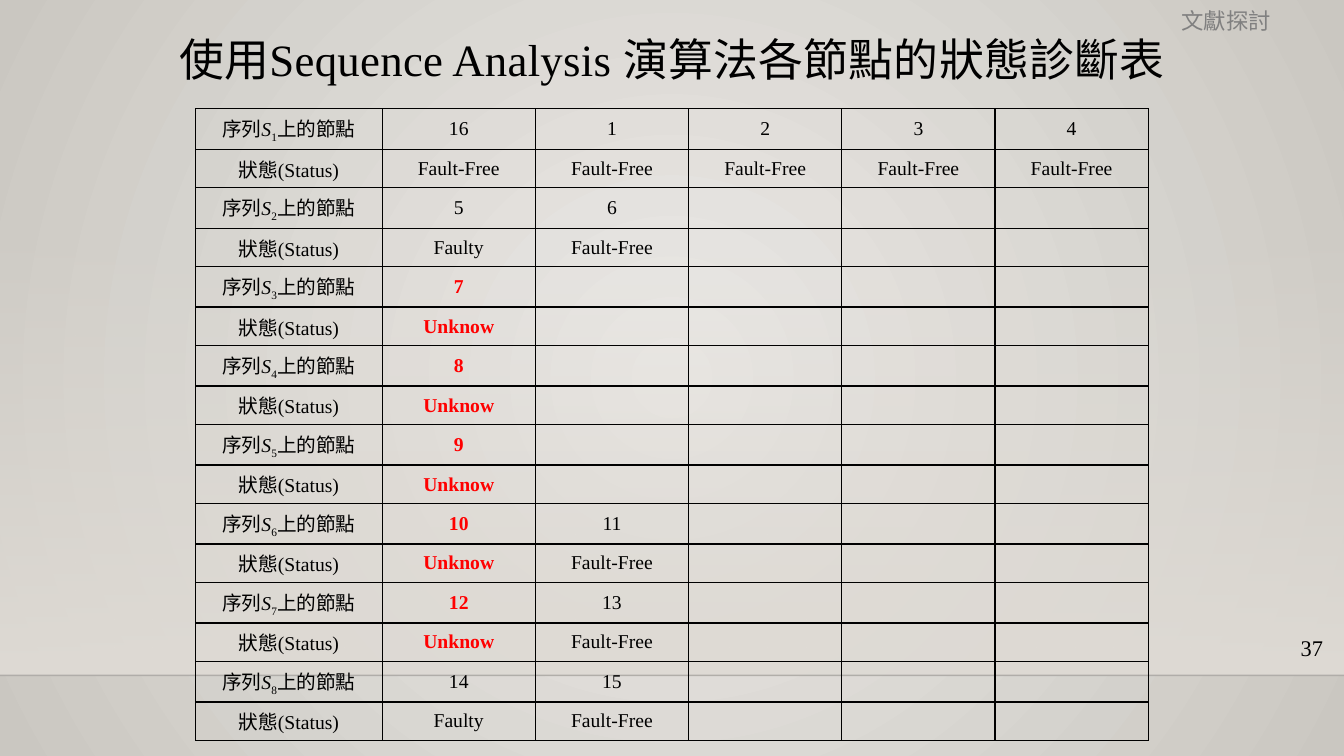
from dataclasses import dataclass

from lxml import etree
from pptx import Presentation
from pptx.dml.color import RGBColor
from pptx.enum.shapes import MSO_CONNECTOR, MSO_SHAPE
from pptx.enum.text import MSO_ANCHOR, PP_ALIGN
from pptx.oxml.ns import qn
from pptx.util import Inches, Pt

CENTER, RIGHT = PP_ALIGN.CENTER, PP_ALIGN.RIGHT
MIDDLE = MSO_ANCHOR.MIDDLE
RECTANGLE, STRAIGHT = MSO_SHAPE.RECTANGLE, MSO_CONNECTOR.STRAIGHT
WIDTH, HEIGHT = 13.33, 7.5
BLANK_LAYOUT = 6


@dataclass(frozen=True)
class Theme:
    """Colours, font and type sizes of the slide."""
    font: str = "Times New Roman"
    ink: str = "000000"
    alert: str = "FF0000"
    muted: str = "808080"
    glow: str = "ECEAE7"
    edge: str = "CAC7C1"
    floor: str = "DFDBD5"
    horizon: str = "000001"
    title_size: int = 32
    label_size: int = 16
    table_size: int = 14


THEME = Theme()
FREE, FAULTY, UNKNOWN = "Fault-Free", "Faulty", "Unknow"
SEQUENCES = [
    [("16", FREE), ("1", FREE), ("2", FREE), ("3", FREE), ("4", FREE)],
    [("5", FAULTY), ("6", FREE)],
    [("7", UNKNOWN)],
    [("8", UNKNOWN)],
    [("9", UNKNOWN)],
    [("10", UNKNOWN), ("11", FREE)],
    [("12", UNKNOWN), ("13", FREE)],
    [("14", FAULTY), ("15", FREE)],
]
COLUMN_WIDTHS = [1.85] + [1.52] * 5


def style_font(font, size, color=THEME.ink, bold=False):
    """Apply the theme font with a size, colour and weight."""
    font.name, font.size, font.bold = THEME.font, Pt(size), bold
    font.color.rgb = RGBColor.from_string(color)


def set_opacity(element, percent):
    """Give the first RGB colour inside an element an opacity."""
    color = element.find(".//" + qn("a:srgbClr"))
    etree.SubElement(color, qn("a:alpha")).set("val", str(percent * 1000))


def set_gradient(fill, start, end):
    """Turn a fill into a two-colour gradient."""
    fill.gradient()
    for stop, color, position in zip(fill.gradient_stops, (start, end), (0, 1)):
        stop.color.rgb = RGBColor.from_string(color)
        stop.position = position


def add_backdrop(slide, floor_top, floor_height):
    """Paint the round glow, the fading floor and the horizon line."""
    set_gradient(slide.background.fill, THEME.glow, THEME.edge)
    gradient = slide.element.find(".//" + qn("a:gradFill"))
    gradient.remove(gradient.find(qn("a:lin")))
    circle = etree.Element(qn("a:path"), {"path": "circle"})
    sides = {side: "50000" for side in "ltrb"}
    etree.SubElement(circle, qn("a:fillToRect"), sides)
    gradient.find(qn("a:gsLst")).addnext(circle)

    floor = slide.shapes.add_shape(RECTANGLE, 0, Inches(floor_top),
                                   Inches(WIDTH), Inches(floor_height))
    floor.shadow.inherit = False
    floor.line.fill.background()
    set_gradient(floor.fill, THEME.floor, THEME.floor)
    floor.fill.gradient_angle = 270
    set_opacity(floor.element.spPr, 0)

    horizon_y = Inches(floor_top + floor_height)
    horizon = slide.shapes.add_connector(STRAIGHT, 0, horizon_y, Inches(WIDTH), horizon_y)
    horizon.line.width = Pt(1)
    horizon.line.color.rgb = RGBColor.from_string(THEME.horizon)
    set_opacity(horizon.element.spPr, 20)
    etree.SubElement(horizon.element.spPr, qn("a:effectLst"))


def add_label(slide, box, text, size, color=THEME.ink, align=CENTER, wrap=True):
    """Place one line of text in a box and return its run."""
    frame = slide.shapes.add_textbox(*map(Inches, box)).text_frame
    frame.text = text
    frame.word_wrap = wrap
    paragraph = frame.paragraphs[0]
    paragraph.alignment = align
    style_font(paragraph.runs[0].font, size, color)
    return paragraph.runs[0]


def format_cell(cell):
    """Clear the fill, draw the four borders and centre the text."""
    cell.fill.background()
    cell.vertical_anchor = MIDDLE
    properties = cell._tc.get_or_add_tcPr()
    for index, side in enumerate(("lnL", "lnR", "lnT", "lnB")):
        border = etree.Element(qn("a:" + side), {"w": str(Pt(1))})
        solid = etree.SubElement(border, qn("a:solidFill"))
        etree.SubElement(solid, qn("a:srgbClr")).set("val", THEME.ink)
        properties.insert(index, border)
    paragraph = cell.text_frame.paragraphs[0]
    paragraph.alignment = CENTER
    etree.SubElement(paragraph._p, qn("a:endParaRPr"), {"sz": str(THEME.table_size * 100)})


def write_cell(cell, parts, color=THEME.ink, bold=False):
    """Write text parts as runs and return the runs."""
    paragraph = cell.text_frame.paragraphs[0]
    runs = []
    for part in parts:
        run = paragraph.add_run()
        run.text = part
        style_font(run.font, THEME.table_size, color, bold)
        runs.append(run)
    return runs


def add_status_table(slide, left, top, row_height):
    """Draw a node row and a status row for each sequence."""
    row_count = 2 * len(SEQUENCES)
    frame = slide.shapes.add_table(row_count, len(COLUMN_WIDTHS), Inches(left), Inches(top),
                                   Inches(sum(COLUMN_WIDTHS)), Inches(row_height * row_count))
    table = frame.table
    table.first_row = table.horz_banding = False
    for column, width in zip(table.columns, COLUMN_WIDTHS):
        column.width = Inches(width)
    for row in table.rows:
        row.height = Inches(row_height)
    for cell in table.iter_cells():
        format_cell(cell)
    for index, nodes in enumerate(SEQUENCES):
        node_row = 2 * index
        parts = ("序列", "S", str(index + 1), "上的節點")
        runs = write_cell(table.cell(node_row, 0), parts)
        runs[1].font.italic = True
        runs[2].font._element.set("baseline", "-25000")
        write_cell(table.cell(node_row + 1, 0), ["狀態(Status)"])
        for column, (node, status) in enumerate(nodes, start=1):
            unknown = status == UNKNOWN
            color = THEME.alert if unknown else THEME.ink
            for offset, text in enumerate((node, status)):
                write_cell(table.cell(node_row + offset, column), [text], color, unknown)


def build_status_slide(presentation):
    """Build the node status slide."""
    slide = presentation.slides.add_slide(presentation.slide_layouts[BLANK_LAYOUT])
    add_backdrop(slide, 2.21, 4.49)
    add_status_table(slide, 1.94, 1.08, 0.33)
    title = add_label(slide, (1.56, 0.27, 10.21, 0.64),
                      "使用Sequence Analysis 演算法各節點的狀態診斷表", THEME.title_size, wrap=False)
    title.font._element.set("spc", "20")
    add_label(slide, (12.74, 6.24, 0.48, 0.4), "37", THEME.label_size, align=RIGHT)
    add_label(slide, (11.1, 0.02, 2.12, 0.37), "文獻探討", THEME.label_size, THEME.muted)


def main():
    """Create and save the presentation."""
    presentation = Presentation()
    presentation.slide_width, presentation.slide_height = Inches(WIDTH), Inches(HEIGHT)
    build_status_slide(presentation)
    presentation.save("out.pptx")


if __name__ == "__main__":
    main()
